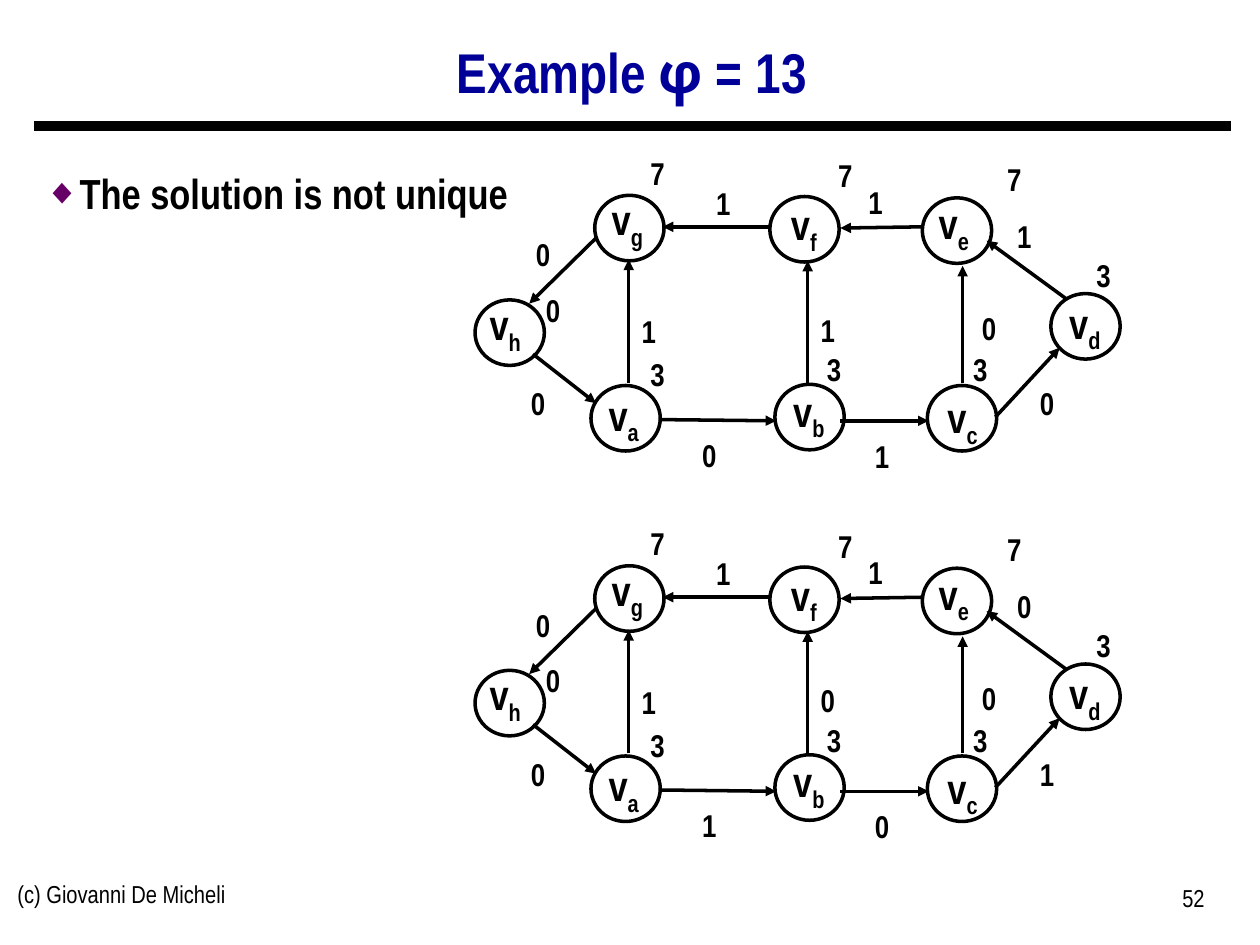
"""Build a slide with two retimed versions of one synchronous network graph."""

import dataclasses
import typing

import lxml.etree
import pptx
import pptx.dml.color
import pptx.enum.shapes
import pptx.enum.text
import pptx.oxml.ns
import pptx.util

Inches = pptx.util.Inches
Align = pptx.enum.text.PP_ALIGN
Anchor = pptx.enum.text.MSO_ANCHOR
Point = tuple[float, float]

BLACK = "000000"
NAVY = "000099"
PURPLE = "660066"
VERTEX_SIZE = (0.55, 0.52)
NAME_SIZE = (1.4, 0.5)
NUMBER_SIZE = (0.6, 0.4)
GRAPH_GAP = 2.94


@dataclasses.dataclass(frozen=True)
class Vertex:
    name: str
    circle_at: Point
    name_at: Point
    delay: str
    delay_at: Point


@dataclasses.dataclass(frozen=True)
class Edge:
    start: Point
    end: Point
    weight_at: Point
    weights: tuple[str, str]


VERTICES = [
    Vertex("a", (4.69, 3.06), (4.25, 3.04), "3", (4.92, 2.77)),
    Vertex("b", (6.15, 3.05), (5.72, 3.01), "3", (6.32, 2.73)),
    Vertex("c", (7.36, 3.06), (6.94, 3.06), "3", (7.48, 2.73)),
    Vertex("d", (8.34, 2.33), (7.91, 2.31), "3", (8.46, 1.98)),
    Vertex("e", (7.32, 1.57), (6.87, 1.52), "7", (7.75, 1.22)),
    Vertex("f", (6.11, 1.56), (5.68, 1.53), "7", (6.41, 1.19)),
    Vertex("g", (4.72, 1.55), (4.28, 1.49), "7", (4.92, 1.17)),
    Vertex("h", (3.77, 2.38), (3.31, 2.32), "0", (4.09, 2.26)),
]

EDGES = [
    Edge((5.23, 3.33), (6.16, 3.34), (5.33, 3.41), ("0", "1")),
    Edge((6.67, 3.34), (7.37, 3.34), (6.7, 3.42), ("1", "0")),
    Edge((7.9, 3.31), (8.41, 2.76), (8.01, 3), ("0", "1")),
    Edge((8.46, 2.37), (7.83, 1.91), (7.83, 1.67), ("1", "0")),
    Edge((7.33, 1.8), (6.67, 1.81), (6.65, 1.4), ("1", "1")),
    Edge((6.1, 1.8), (5.26, 1.8), (5.44, 1.41), ("1", "1")),
    Edge((4.73, 1.89), (4.2, 2.41), (4.01, 1.82), ("0", "0")),
    Edge((4.23, 2.81), (4.73, 3.2), (3.97, 3), ("0", "0")),
    Edge((4.99, 3.04), (4.99, 2.06), (4.85, 2.43), ("1", "1")),
    Edge((6.41, 3.04), (6.41, 2.07), (6.27, 2.42), ("1", "0")),
    Edge((7.64, 3.04), (7.64, 2.11), (7.55, 2.4), ("0", "0")),
]


def rgb(color: str) -> pptx.dml.color.RGBColor:
    """Turn a hex string into a colour."""
    return pptx.dml.color.RGBColor.from_string(color)


def write(frame: typing.Any, text: str, *, size: float, color: str = BLACK, bold: bool = True,
          font: str = "Arial Narrow", align: Align = Align.CENTER, subscript: bool = False) -> None:
    """Append formatted text to the first paragraph of a frame."""
    paragraph = frame.paragraphs[0]
    paragraph.alignment = align
    run = paragraph.add_run()
    run.text = text
    run.font.name = font
    run.font.size = pptx.util.Pt(size)
    run.font.bold = bold
    run.font.color.rgb = rgb(color)
    if subscript:
        run.font._element.set("baseline", "-25000")


def add_frame(shapes: typing.Any, at: Point, size: Point) -> typing.Any:
    """Add a wrapping text box and return its text frame."""
    frame = shapes.add_textbox(*map(Inches, at + size)).text_frame
    frame.word_wrap = True
    return frame


def place(placeholder: typing.Any, at: Point, size: Point) -> typing.Any:
    """Move a placeholder and return its text frame."""
    placeholder.left, placeholder.top, placeholder.width, placeholder.height = map(Inches, at + size)
    placeholder.text_frame.auto_size = pptx.enum.text.MSO_AUTO_SIZE.NONE
    return placeholder.text_frame


def add_line(shapes: typing.Any, start: Point, end: Point, width: float, arrow: bool = False) -> None:
    """Draw a straight black line, with an arrowhead at its end if asked."""
    connector = shapes.add_connector(
        pptx.enum.shapes.MSO_CONNECTOR.STRAIGHT, *map(Inches, start + end))
    connector.line.color.rgb = rgb(BLACK)
    connector.line.width = pptx.util.Pt(width)
    properties = connector.element.spPr
    if arrow:
        outline = properties.find(pptx.oxml.ns.qn("a:ln"))
        lxml.etree.SubElement(outline, pptx.oxml.ns.qn("a:tailEnd"), type="triangle")
    lxml.etree.SubElement(properties, pptx.oxml.ns.qn("a:effectLst"))


def add_bullet(paragraph: typing.Any) -> None:
    """Give a paragraph a purple diamond bullet with a hanging indent."""
    properties = paragraph._p.get_or_add_pPr()
    indent = Inches(0.28)
    properties.set("marL", str(indent))
    properties.set("indent", str(-indent))
    tint = lxml.etree.SubElement(properties, pptx.oxml.ns.qn("a:buClr"))
    lxml.etree.SubElement(tint, pptx.oxml.ns.qn("a:srgbClr"), val=PURPLE)
    lxml.etree.SubElement(properties, pptx.oxml.ns.qn("a:buSzPct"), val="85000")
    lxml.etree.SubElement(properties, pptx.oxml.ns.qn("a:buChar"), char="◆")


def add_vertex(shapes: typing.Any, vertex: Vertex, drop: float) -> None:
    """Draw a vertex with its name and delay."""
    def lowered(at: Point) -> Point:
        """Shift a point down to the current graph."""
        return at[0], at[1] + drop

    circle = shapes.add_shape(pptx.enum.shapes.MSO_SHAPE.FLOWCHART_CONNECTOR,
                              *map(Inches, lowered(vertex.circle_at) + VERTEX_SIZE))
    circle.shadow.inherit = False
    circle.fill.background()
    circle.line.color.rgb = rgb(BLACK)
    circle.line.width = pptx.util.Pt(2)
    name = add_frame(shapes, lowered(vertex.name_at), NAME_SIZE)
    write(name, "v", size=24)
    write(name, vertex.name, size=24, subscript=True)
    write(add_frame(shapes, lowered(vertex.delay_at), NUMBER_SIZE), vertex.delay, size=18)


def add_graph(shapes: typing.Any, solution: int) -> None:
    """Draw the grouped graph of one solution."""
    graph = shapes.add_group_shape().shapes
    drop = solution * GRAPH_GAP
    for vertex in VERTICES:
        add_vertex(graph, vertex, drop)
    for edge in EDGES:
        start, end, weight_at = ((x, y + drop) for x, y in (edge.start, edge.end, edge.weight_at))
        add_line(graph, start, end, 2, arrow=True)
        write(add_frame(graph, weight_at, NUMBER_SIZE), edge.weights[solution], size=18)


def main() -> None:
    """Build and save the slide."""
    deck = pptx.Presentation()
    deck.slide_width, deck.slide_height = Inches(10), Inches(7.5)
    slide = deck.slides.add_slide(deck.slide_layouts[1])

    title = place(slide.shapes.title, (0.26, 0.22), (9.51, 0.75))
    title.vertical_anchor = Anchor.MIDDLE
    title.paragraphs[0].line_spacing = 0.9
    write(title, "Example ", size=32, color=NAVY)
    write(title, "φ", size=32, color=NAVY, font="Noto Sans")
    write(title, " = 13", size=32, color=NAVY)
    add_line(slide.shapes, (0.27, 1), (9.77, 1), 6)

    body = place(slide.placeholders[1], (0.25, 1.18), (4.67, 5.69))
    add_bullet(body.paragraphs[0])
    body.paragraphs[0].line_spacing = 1.25
    body.paragraphs[0].space_before = pptx.util.Pt(0)
    write(body, "The solution is not unique", size=24, align=Align.LEFT)

    for solution in range(2):
        add_graph(slide.shapes, solution)

    write(add_frame(slide.shapes, (0.04, 6.93), (3.17, 0.52)), "(c) Giovanni De Micheli",
          size=14, bold=False, align=Align.LEFT)
    write(add_frame(slide.shapes, (7.33, 6.96), (2.33, 0.52)), "52",
          size=14, bold=False, align=Align.RIGHT)
    deck.save("out.pptx")


if __name__ == "__main__":
    main()
